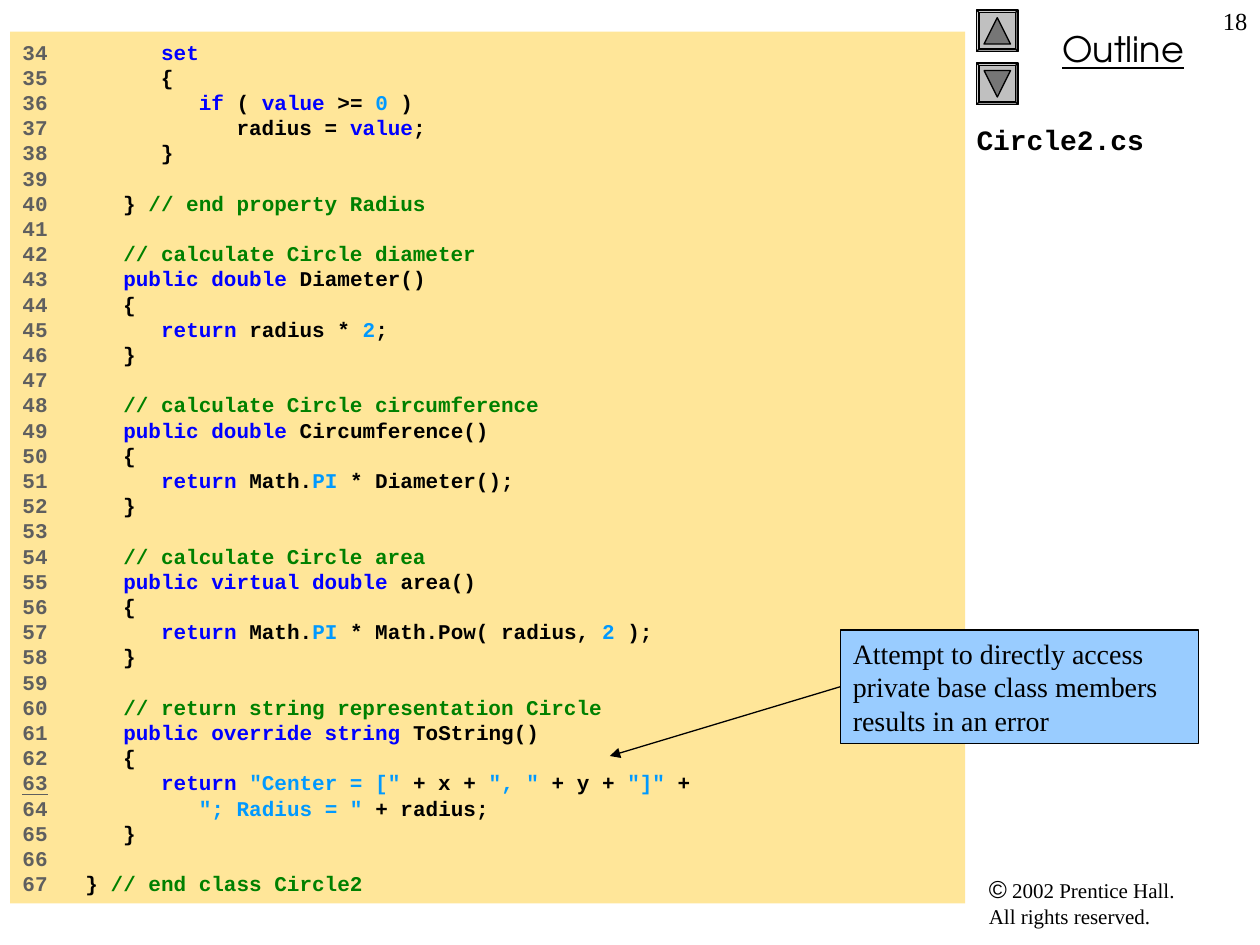
"""Build a code slide for Circle2.cs with a callout and outline buttons."""
from pptx import Presentation
from pptx.dml.color import RGBColor
from pptx.enum.shapes import MSO_CONNECTOR, MSO_SHAPE
from pptx.enum.text import MSO_ANCHOR, PP_ALIGN
from pptx.oxml.ns import qn
from pptx.util import Inches, Pt
from lxml.etree import SubElement

BLACK = RGBColor(0, 0, 0)
GRAY = RGBColor(0x5F, 0x5F, 0x5F)
BLUE = RGBColor(0, 0, 0xFF)
SKY = RGBColor(0, 0x99, 0xFF)
GREEN = RGBColor(0, 0x80, 0)
SAND = RGBColor(0xFF, 0xE6, 0x99)
PALE = RGBColor(0x99, 0xCC, 0xFF)
SILVER = RGBColor(0xC0, 0xC0, 0xC0)
DARK = RGBColor(0x76, 0x76, 0x76)

MONO = "Courier New"
ROMAN = "Times New Roman"
TINTS = {"k": BLACK, "b": BLUE, "s": SKY, "g": GREEN}
CODE = """\
      ~bset
      {
         ~bif~k ( ~bvalue~k >= ~s0~k )
            radius = ~bvalue~k;
      }

   } ~g// end property Radius

   ~g// calculate Circle diameter
   ~bpublic double~k Diameter()
   {
      ~breturn~k radius * ~s2~k;
   }

   ~g// calculate Circle circumference
   ~bpublic double~k Circumference()
   {
      ~breturn~k Math.~sPI~k * Diameter();
   }

   ~g// calculate Circle area
   ~bpublic virtual double~k area()
   {
      ~breturn~k Math.~sPI~k * Math.Pow( radius, ~s2~k );
   }

   ~g// return string representation Circle
   ~bpublic override string~k ToString()
   {
      ~breturn ~s"Center = ["~k + x + ~s", "~k + y + ~s"]"~k +
         ~s"; Radius = "~k + radius;
   }

} ~g// end class Circle2"""


def write(para, text, font=ROMAN, size=12, color=BLACK, bold=False, under=False):
    run = para.add_run()
    run.text = text
    run.font.name = font
    run.font.size = Pt(size)
    run.font.color.rgb = color
    run.font.bold = bold
    run.font.underline = under
    para.line_spacing = Pt(size * 1.2)


def place(kind, x, y, w, h, fill=None, line=None):
    shape = slide.shapes.add_shape(kind, Inches(x), Inches(y), Inches(w), Inches(h))
    shape.shadow.inherit = False
    if fill is None:
        shape.fill.background()
    else:
        shape.fill.solid()
        shape.fill.fore_color.rgb = fill
    if line is None:
        shape.line.fill.background()
    else:
        shape.line.color.rgb = line
        shape.line.width = Pt(0.75)
    frame = shape.text_frame
    frame.word_wrap = True
    frame.vertical_anchor = MSO_ANCHOR.TOP
    frame.paragraphs[0].alignment = PP_ALIGN.LEFT
    return shape


deck = Presentation()
deck.slide_width = Inches(10)
deck.slide_height = Inches(7.5)
slide = deck.slides.add_slide(deck.slide_layouts[6])
RECT = MSO_SHAPE.RECTANGLE

credit = place(RECT, 7.75, 6.92, 2.17, 0.54).text_frame.paragraphs[0]
write(credit, "©", font="Arial", size=14)
write(credit, " 2002 Prentice Hall.")
credit.add_line_break()
write(credit, "All rights reserved.")

head = place(RECT, 7.83, 0.17, 2.17, 0.44).text_frame.paragraphs[0]
head.alignment = PP_ALIGN.CENTER
write(head, "Outline", font="TeX Gyre Adventor", size=20, under=True)

for top, turn in ((0.08, 0), (0.5, 180)):
    button = place(MSO_SHAPE.BEVEL, 7.75, top, 0.33, 0.33, SILVER, BLACK)
    button.adjustments[0] = 0.06
    arrow = place(MSO_SHAPE.ISOSCELES_TRIANGLE, 7.81, top + 0.06, 0.21, 0.21, DARK, BLACK)
    arrow.rotation = turn

title = place(RECT, 7.75, 0.92, 2.25, 6).text_frame
title.margin_left = 0
write(title.paragraphs[0], "Circle2.cs", font=MONO, size=16, bold=True)

panel = place(RECT, 0.08, 0.25, 7.58, 6.92, SAND).text_frame
panel.vertical_anchor = MSO_ANCHOR.MIDDLE
for num, row in enumerate(CODE.split("\n"), 34):
    para = panel.paragraphs[0] if num == 34 else panel.add_paragraph()
    para.alignment = PP_ALIGN.LEFT
    write(para, str(num), font=MONO, color=GRAY, bold=True, under=num == 63)
    if row:
        for part in ("k   " + row).split("~"):
            write(para, part[1:], font=MONO, color=TINTS[part[0]], bold=True)

note = place(RECT, 6.67, 5, 2.84, 0.9, PALE, BLACK)
write(note.text_frame.paragraphs[0],
      "Attempt to directly access private base class members results in an error",
      size=16)

link = slide.shapes.add_connector(
    MSO_CONNECTOR.STRAIGHT, Inches(6.67), Inches(5.45), Inches(4.84), Inches(6))
link.begin_connect(note, 1)
link.line.color.rgb = BLACK
link.line.width = Pt(0.75)
SubElement(link.line._get_or_add_ln(), qn("a:tailEnd"), type="triangle")
SubElement(link._element.spPr, qn("a:effectLst"))

page = place(RECT, 9.5, 0, 0.5, 0.5).text_frame.paragraphs[0]
page.alignment = PP_ALIGN.RIGHT
write(page, "18", size=14)

deck.save("out.pptx")
